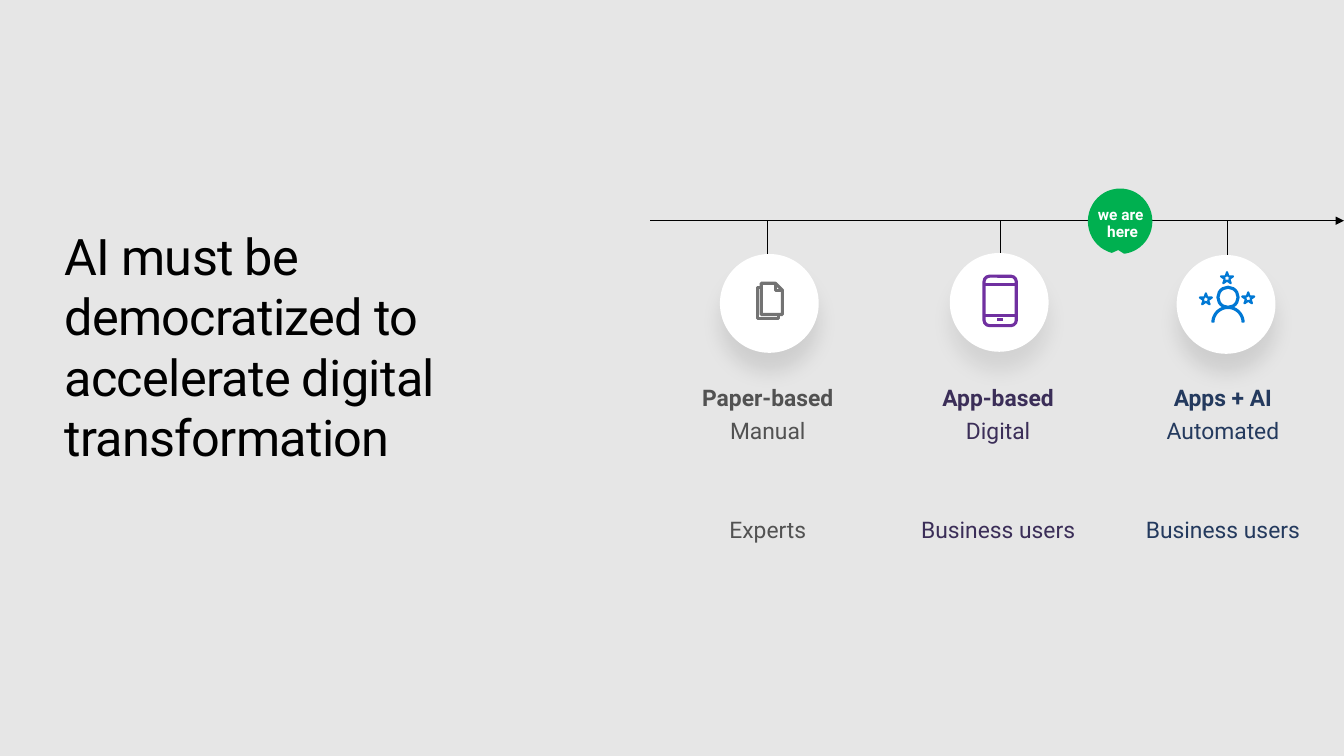
from math import cos, pi, sin

from lxml import etree
from pptx import Presentation
from pptx import util as u
from pptx.dml.color import RGBColor
from pptx.enum import shapes, text
from pptx.oxml import ns

TITLE = "AI must be democratized to accelerate digital transformation"
BADGE = "we are \vhere"
COLORS = dict(back="E6E6E6", black="000000", white="FFFFFF", green="00B050",
              grey="525252", plum="3B2E58", navy="243A5E",
              paper="737373", phone="7030A0", user="0078D4")
# Text, text colour, text left and width, post x, disc left and top, shadow share
STAGES = [
    (("Paper-based", "Manual", "Experts"), "grey", 6.67, 1.89, 7.61, 7.14, 2.52, 10),
    (("App-based", "Digital", "Business users"), "plum", 8.71, 2.38, 9.92, 9.42, 2.51, 8),
    (("Apps + AI", "Automated", "Business users"), "navy", 10.93, 2.4, 12.17, 11.67, 2.53, 10),
]
WIDE, HIGH = 13.33, 7.5
AXIS, POST, DISC = 2.19, 0.41, 0.98
SIZE, AFTER, GAP = 16.3, 6.1, 47
KINDS = shapes.MSO_SHAPE

deck = Presentation()
deck.slide_width, deck.slide_height = u.Inches(WIDE), u.Inches(HIGH)
slide = deck.slides.add_slide(deck.slide_layouts[5])
parts = slide.shapes


def paint(fmt, name):
    fmt.solid()
    fmt.fore_color.rgb = RGBColor.from_string(COLORS[name])


def style(item, fill=None, line=None, width=2.25):
    item.shadow.inherit = False
    if fill:
        paint(item.fill, fill)
    else:
        item.fill.background()
    if line:
        paint(item.line.fill, line)
        item.line.width = u.Pt(width)
    else:
        item.line.fill.background()
    return item


def shape(kind, x, y, w, h, **look):
    return style(parts.add_shape(kind, *map(u.Inches, (x, y, w, h))), **look)


def trace(points, close=False, **look):
    spots = [(u.Inches(x), u.Inches(y)) for x, y in points]
    pen = parts.build_freeform(*spots[0], scale=1.0)
    pen.add_line_segments(spots[1:], close=close)
    return style(pen.convert_to_shape(), **look)


def rule(x1, y1, x2, y2, color="black", width=0.75, arrow=False):
    line = parts.add_connector(shapes.MSO_CONNECTOR.STRAIGHT,
                               *map(u.Inches, (x1, y1, x2, y2)))
    paint(line.line.fill, color)
    line.line.width = u.Pt(width)
    if arrow:
        etree.SubElement(line.line._get_or_add_ln(), ns.qn("a:tailEnd"), type="triangle")
    etree.SubElement(line._element.spPr, ns.qn("a:effectLst"))


def write(frame, lines, size, color, bold=0, align=text.PP_ALIGN.CENTER, space=None,
          after=0, gap=0, pads=(0, 0, 0, 0), wrap=True, anchor=text.MSO_ANCHOR.TOP, spc=None):
    """Fill a frame; the first `bold` lines are bold, `gap` precedes the third."""
    frame.word_wrap, frame.vertical_anchor = wrap, anchor
    frame.auto_size = text.MSO_AUTO_SIZE.NONE
    (frame.margin_left, frame.margin_top,
     frame.margin_right, frame.margin_bottom) = map(u.Inches, pads)
    for i, words in enumerate(lines):
        para = frame.add_paragraph() if i else frame.paragraphs[0]
        para.text = words
        para.alignment, para.line_spacing = align, space
        para.space_before = u.Pt(gap if i == 2 else 0)
        para.space_after = u.Pt(after)
        for run in para.runs:
            run.font.name, run.font.size, run.font.bold = "Roboto", u.Pt(size), i < bold
            paint(run.font.fill, color)
            if spc:
                run._r.get_or_add_rPr().set("spc", str(spc))


def cast(item, share):
    """Add a soft shadow straight below a disc."""
    reach = str(u.Pt(14))
    glow = etree.SubElement(item._element.spPr.find(ns.qn("a:effectLst")), ns.qn("a:outerShdw"),
                            blurRad=reach, dist=reach, dir="5400000",
                            algn="t", rotWithShape="0")
    tone = etree.SubElement(glow, ns.qn("a:srgbClr"), val=COLORS["black"])
    etree.SubElement(tone, ns.qn("a:alpha"), val=str(share * 1000))


def pages():
    x, y, w, h, fold, step = 7.55, 2.81, 0.21, 0.31, 0.07, 0.04
    right, base = x + w, y + h
    trace([(right, y + fold), (right, base), (x, base), (x, y), (right - fold, y)],
          close=True, line="paper")
    trace([(right - fold, y), (right - fold, y + fold), (right, y + fold)], line="paper")
    trace([(right - step, base), (right - step, base + step), (x - step, base + step),
           (x - step, y + step), (x, y + step)], line="paper")


def phone():
    x, y, w, h = 9.76, 2.74, 0.32, 0.49
    shape(KINDS.ROUNDED_RECTANGLE, x, y, w, h, fill="white", line="phone")
    for inset, drop in ((0, 0.08), (0, 0.39), (0.13, 0.43)):
        rule(x + inset, y + drop, x + w - inset, y + drop, "phone", 2.25)


def user():
    mid, base, reach, steps = 12.18, 3.2, 0.15, 24
    shape(KINDS.OVAL, mid - 0.1, 2.85, 0.2, 0.2, fill="white", line="user")
    turns = [pi * i / steps for i in range(steps + 1)]
    trace([(mid + reach * cos(t), base - reach * sin(t)) for t in turns],
          fill="white", line="user")
    for x, y in ((11.9, 2.91), (12.11, 2.7), (12.32, 2.9)):
        shape(KINDS.STAR_5_POINT, x, y, 0.12, 0.11, fill="white", line="user", width=1.5)


paint(slide.background.fill, "back")
title = parts.title
title.left, title.top, title.width, title.height = map(u.Inches, (0.64, 2.23, 5.2, 2.42))
write(title.text_frame, [TITLE], 36, "black", align=text.PP_ALIGN.LEFT, spc=-50)

rule(6.45, AXIS, WIDE, AXIS, arrow=True)
for (lines, color, left, width, post, x, y, share), icon in zip(STAGES, (pages, phone, user)):
    rule(post, AXIS, post, AXIS + POST)
    cast(shape(KINDS.OVAL, x, y, DISC, DISC, fill="white"), share)
    icon()
    box = parts.add_textbox(*map(u.Inches, (left, 3.68, width, 1.9)))
    write(box.text_frame, lines, SIZE, color, bold=1, space=0.9, after=AFTER, gap=GAP,
          pads=(0.1, 0.16, 0.1, 0.16))

badge = shape(KINDS.OVAL_CALLOUT, 10.79, 1.87, 0.64, 0.65, fill="green")
badge.adjustments[0], badge.adjustments[1] = -0.03, 0.44
write(badge.text_frame, [BADGE], 11, "white", bold=1, space=0.9, pads=(0.05, 0.05, 0, 0),
      wrap=False, anchor=text.MSO_ANCHOR.MIDDLE)

deck.save("out.pptx")
